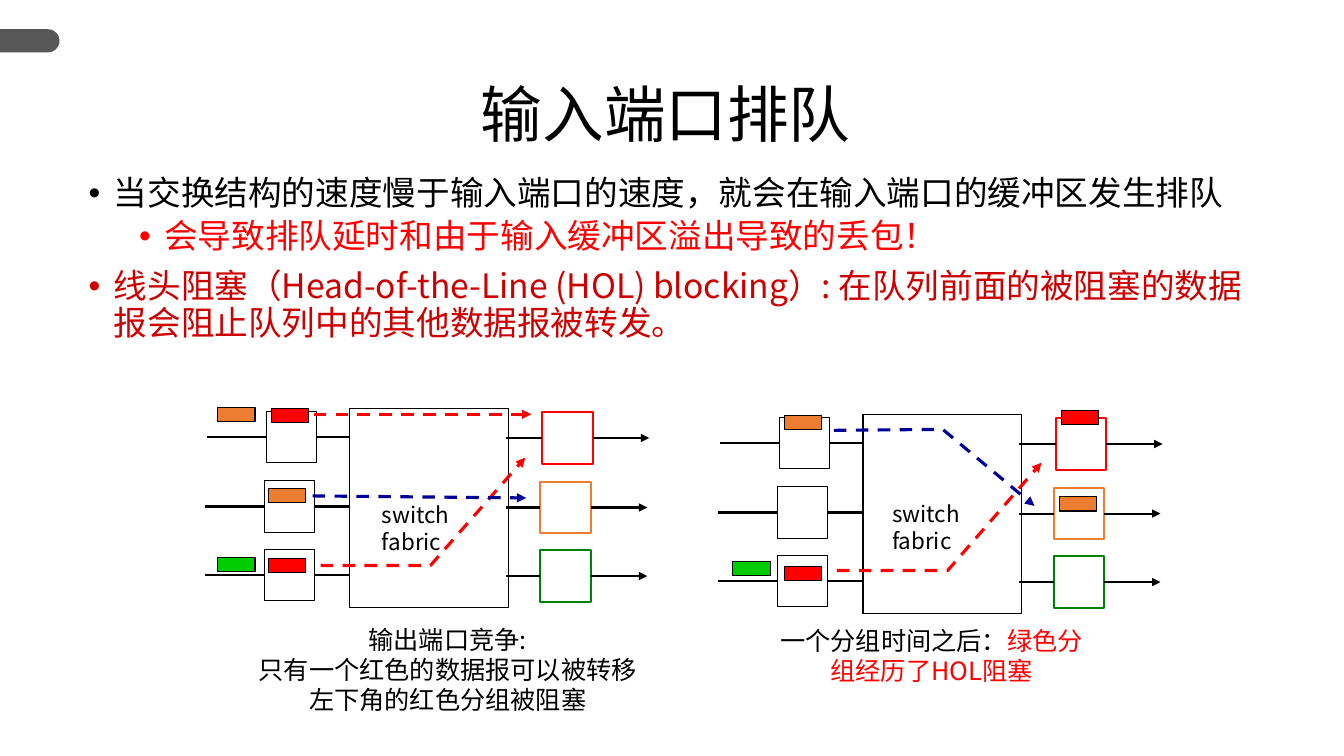
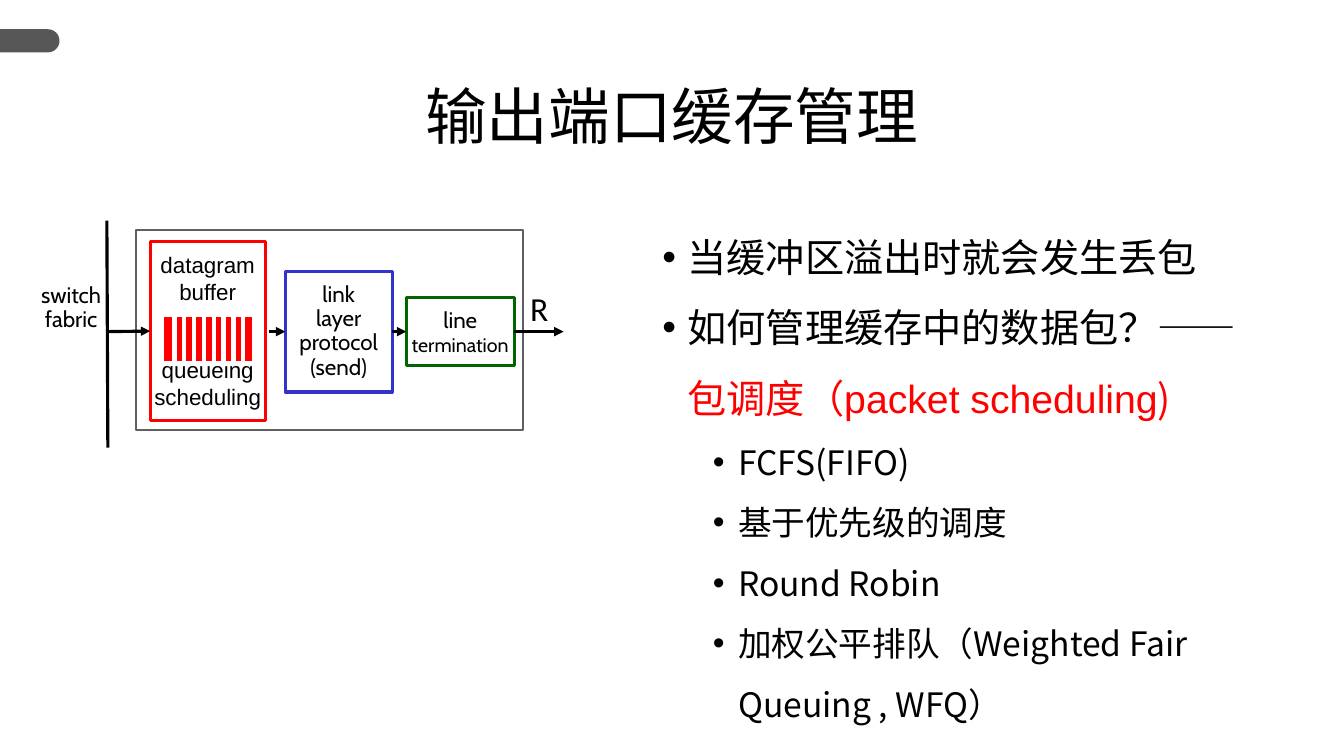
import pptx
import pptx.util
import pptx.dml.color
import pptx.enum.dml
import pptx.enum.shapes
import pptx.enum.text
import pptx.oxml
import pptx.oxml.ns
import lxml.etree

Inches = pptx.util.Inches
KIND = pptx.enum.shapes.MSO_SHAPE
ALIGN = pptx.enum.text.PP_ALIGN
ANCHOR = pptx.enum.text.MSO_ANCHOR

BLACK, WHITE, GRAY = "000000", "FFFFFF", "575757"
RED, ORANGE, LIME, GREEN, NAVY = "FF0000", "ED7D31", "00CC00", "008000", "000099"
BASE = {"size": 18, "font": "Noto Sans CJK SC", "color": BLACK, "align": None,
        "space": None, "before": 0, "depth": None}
MID = {"align": ALIGN.CENTER}

QUEUE_TITLE = "输入端口排队"
QUEUE_LIST = [
    "当交换结构的速度慢于输入端口的速度，就会在输入端口的缓冲区发生排队",
    ("会导致排队延时和由于输入缓冲区溢出导致的丢包！",
     {"depth": 1, "before": 5, "color": RED}),
    ("线头阻塞（Head-of-the-Line (HOL) blocking）: 在队列前面的被阻塞的数据报会阻止队列中的其他数据报被转发。",
     {"before": 10, "color": "CC0000"}),
]
FABRIC = ["switch", "fabric"]
ROWS = [(0, 0, RED), (-0.02, 0.69, ORANGE), (-0.02, 1.37, GREEN)]
STAGES = [
    {"at": (3.47, 4.05), "label": (3.69, 4.92),
     "packets": [(2.69, 4.05, RED), (2.66, 4.85, ORANGE), (2.66, 5.54, RED),
                 (2.16, 4.04, ORANGE), (2.16, 5.53, LIME)],
     "routes": [([(3.11, 4.11), (5.27, 4.11)], RED),
                ([(3.18, 5.61), (4.27, 5.61), (5.21, 4.54)], RED),
                ([(3.1, 4.92), (5.22, 4.94)], NAVY)],
     "note": (1.97, 6.14, 4.94, 1.01),
     "text": ["输出端口竞争:", "只有一个红色的数据报可以被转移", "左下角的红色分组被阻塞"]},
    {"at": (8.56, 4.11), "label": (8.75, 4.91),
     "packets": [(10.53, 4.07, RED), (7.78, 4.12, ORANGE), (7.78, 5.62, RED),
                 (7.27, 5.57, LIME), (10.51, 4.93, ORANGE)],
     "routes": [([(8.3, 5.66), (9.4, 5.66), (10.33, 4.59)], RED),
                ([(8.27, 4.27), (9.35, 4.26), (10.26, 5.02)], NAVY)],
     "note": (7.61, 6.15, 3.26, 0.71),
     "text": [[("一个分组时间之后：", {}), ("绿色分组经历了HOL阻塞", {"color": RED})]]},
]

BUFFER_TITLE = "输出端口缓存管理"
SUB = {"depth": 1, "size": 24}
BUFFER_LIST = [
    "当缓冲区溢出时就会发生丢包",
    [("如何管理缓存中的数据包？——", {}), ("包调度（", {"color": RED}),
     ("packet scheduling", {"color": RED, "font": "Arial"}), (")", {"color": RED})],
    ("FCFS(FIFO)", SUB),
    ("基于优先级的调度", SUB),
    ("Round Robin", SUB),
    ("加权公平排队（Weighted Fair Queuing , WFQ）", SUB),
]
BUFFER = ["datagram", "buffer", ("queueing", {"before": 37}), "scheduling"]
LINK = ["link", "layer", "protocol", "(send)"]
LAST = ["line", ("termination", {"size": 14})]


def rgb(code):
    return pptx.dml.color.RGBColor.from_string(code)


def node(tag, **attrs):
    item = pptx.oxml.parse_xml(f"<{tag} {pptx.oxml.ns.nsdecls('a')}/>")
    for key, value in attrs.items():
        item.set(key, value)
    return item


def write(frame, text, **form):
    for i, item in enumerate(text):
        para = frame.add_paragraph() if i else frame.paragraphs[0]
        runs, own = item if isinstance(item, tuple) else (item, {})
        look = {**BASE, **form, **own}
        if look["depth"] is not None:
            para.level = look["depth"]
            props = para._p.get_or_add_pPr()
            props.set("marL", str(Inches(0.25 + 0.5 * look["depth"])))
            props.set("indent", str(Inches(-0.25)))
            props.append(node("a:buChar", char="•"))
        para.alignment = look["align"]
        para.line_spacing = look["space"]
        para.space_before = pptx.util.Pt(look["before"])
        for words, extra in [(runs, {})] if isinstance(runs, str) else runs:
            style = {**look, **extra}
            run = para.add_run()
            run.text = words
            run.font.size = pptx.util.Pt(style["size"])
            run.font.color.rgb = rgb(style["color"])
            run.font.name = style["font"]
            run.font._element.append(node("a:ea", typeface=style["font"]))


def place(shape, *spot):
    shape.left, shape.top, shape.width, shape.height = map(Inches, spot)


def box(slide, spot, fill=WHITE, edge=BLACK, width=0.75, kind=KIND.RECTANGLE):
    shape = slide.shapes.add_shape(kind, *map(Inches, spot))
    shape.shadow.inherit = False
    shape.fill.solid()
    shape.fill.fore_color.rgb = rgb(fill)
    if edge:
        shape.line.color.rgb = rgb(edge)
        shape.line.width = pptx.util.Pt(width)
    else:
        shape.line.fill.background()
    return shape


def label(slide, spot, text, wrap=True, anchor=ANCHOR.TOP, **form):
    frame = slide.shapes.add_textbox(*map(Inches, spot)).text_frame
    frame.word_wrap = wrap
    frame.vertical_anchor = anchor
    write(frame, text, **form)


def inside(shape, text, anchor=ANCHOR.MIDDLE, **form):
    frame = shape.text_frame
    frame.word_wrap = False
    frame.vertical_anchor = anchor
    write(frame, text, **MID, **form)
    return frame


def route(slide, points, color=BLACK, width=1.5, arrow=False, dash=False,
          start=None, end=None):
    spots = [tuple(map(Inches, point)) for point in points]
    if len(spots) == 2:
        kind = pptx.enum.shapes.MSO_CONNECTOR.STRAIGHT
        line = slide.shapes.add_connector(kind, *spots[0], *spots[1])
        if start:
            line.begin_connect(*start)
        if end:
            line.end_connect(*end)
    else:
        maker = slide.shapes.build_freeform(*spots[0])
        maker.add_line_segments(spots[1:], close=False)
        line = maker.convert_to_shape()
        line.fill.background()
    line.line.color.rgb = rgb(color)
    line.line.width = pptx.util.Pt(width)
    if dash:
        line.line.dash_style = pptx.enum.dml.MSO_LINE.DASH
    props = line.element.spPr
    if arrow:
        props.find(pptx.oxml.ns.qn("a:ln")).append(node("a:tailEnd", type="triangle"))
    props.append(node("a:effectLst"))


def start_slide(deck, title, spot, items, area, **form):
    slide = deck.slides.add_slide(deck.slide_layouts[1])
    head, body = slide.placeholders
    place(head, *spot)
    head.text_frame.vertical_anchor = ANCHOR.TOP
    write(head.text_frame, [title], size=44, space=0.9, **MID)
    place(body, *area)
    for frame in (head.text_frame, body.text_frame):
        frame.auto_size = pptx.enum.text.MSO_AUTO_SIZE.NONE
        frame.word_wrap = True
    write(body.text_frame, items, depth=0, **form)
    return slide


def add_tab(slide):
    tab = box(slide, (0.18, 0.11, 0.23, 0.59), GRAY, None,
              kind=KIND.ROUND_2_SAME_RECTANGLE)
    tab.adjustments[0] = 0.5
    tab.rotation = 90
    slide.slide_layout.shapes.element.append(tab.element)


def draw_stage(slide, stage):
    left, top = stage["at"]
    box(slide, (left, top, 1.57, 1.98))
    for shift, drop, color in ROWS:
        x, y = left + shift, top + drop
        entry = box(slide, (x - 0.83, y + 0.03, 0.5, 0.51))
        leave = box(slide, (x + 1.91, y + 0.04, 0.5, 0.51), edge=color, width=1.5)
        enter, exit_y = y + 0.285, y + 0.295
        route(slide, [(x - 1.42, enter), (x - 0.83, enter)], end=(entry, 1))
        route(slide, [(x - 0.33, enter), (left, enter)], start=(entry, 3))
        route(slide, [(left + 1.55, exit_y), (x + 1.91, exit_y)], end=(leave, 1))
        route(slide, [(x + 2.41, exit_y), (x + 2.97, exit_y)], arrow=True,
              start=(leave, 3))
    for x, y, color in stage["packets"]:
        box(slide, (x, y, 0.37, 0.14), color)
    label(slide, (*stage["label"], 0.87, 0.64), FABRIC, wrap=False, size=16)
    for points, color in stage["routes"]:
        route(slide, points, color, 2.25, arrow=True, dash=True)
    label(slide, stage["note"], stage["text"], **MID)


def draw_port(slide):
    box(slide, (1.35, 2.28, 3.84, 1.99), edge="5F5F5F", width=1.5)
    store = box(slide, (1.49, 2.4, 1.14, 1.77), edge=RED, width=2.25)
    link = box(slide, (2.83, 2.69, 1.06, 1.2), edge="3333CC", width=2.25)
    last = box(slide, (4.03, 2.95, 1.07, 0.68), edge="006600", width=2.25)
    frame = inside(store, BUFFER, ANCHOR.TOP, size=16, font="Arial")
    frame.margin_top = Inches(0.09)
    inside(link, LINK, size=16, font="Cabin", space=0.9)
    inside(last, LAST, size=16, font="Cabin")
    label(slide, (0.22, 2.63, 0.97, 0.85), FABRIC, False, ANCHOR.MIDDLE,
          size=16, font="Cabin", space=0.9, **MID)

    box(slide, (1.61, 3.12, 0.91, 0.48), RED, WHITE, 3)
    for i in range(8):
        x = 1.73 + i * 0.0975
        route(slide, [(x, 3.13), (x, 3.59)], WHITE, 3)

    mid = 3.29
    route(slide, [(1.06, 2.19), (1.07, 4.44)], width=2.25)
    for x, stop, start, end in [(1.06, 1.49, None, (store, 1)),
                                (2.67, 2.83, None, (link, 1)),
                                (3.89, 4.03, (link, 3), (last, 1)),
                                (5.1, 5.59, (last, 3), None)]:
        route(slide, [(x, mid), (stop, mid)], width=2.25, arrow=True,
              start=start, end=end)
    label(slide, (5.16, 2.81, 0.38, 0.5), ["R"], wrap=False, size=24, font="Calibri")


def main():
    deck = pptx.Presentation()
    deck.slide_width, deck.slide_height = Inches(13.33), Inches(7.5)

    queue = start_slide(deck, QUEUE_TITLE, (0, 0.79, 13.21, 0.5), QUEUE_LIST,
                        (0.78, 1.7, 11.71, 2.9), size=24, space=0.9)
    add_tab(queue)
    for stage in STAGES:
        draw_stage(queue, stage)

    port = start_slide(deck, BUFFER_TITLE, (0, 0.81, 13.33, 0.8), BUFFER_LIST,
                       (6.47, 2.03, 6.19, 4.26), size=28, space=1.5)
    draw_port(port)
    deck.save("out.pptx")


if __name__ == "__main__":
    main()
